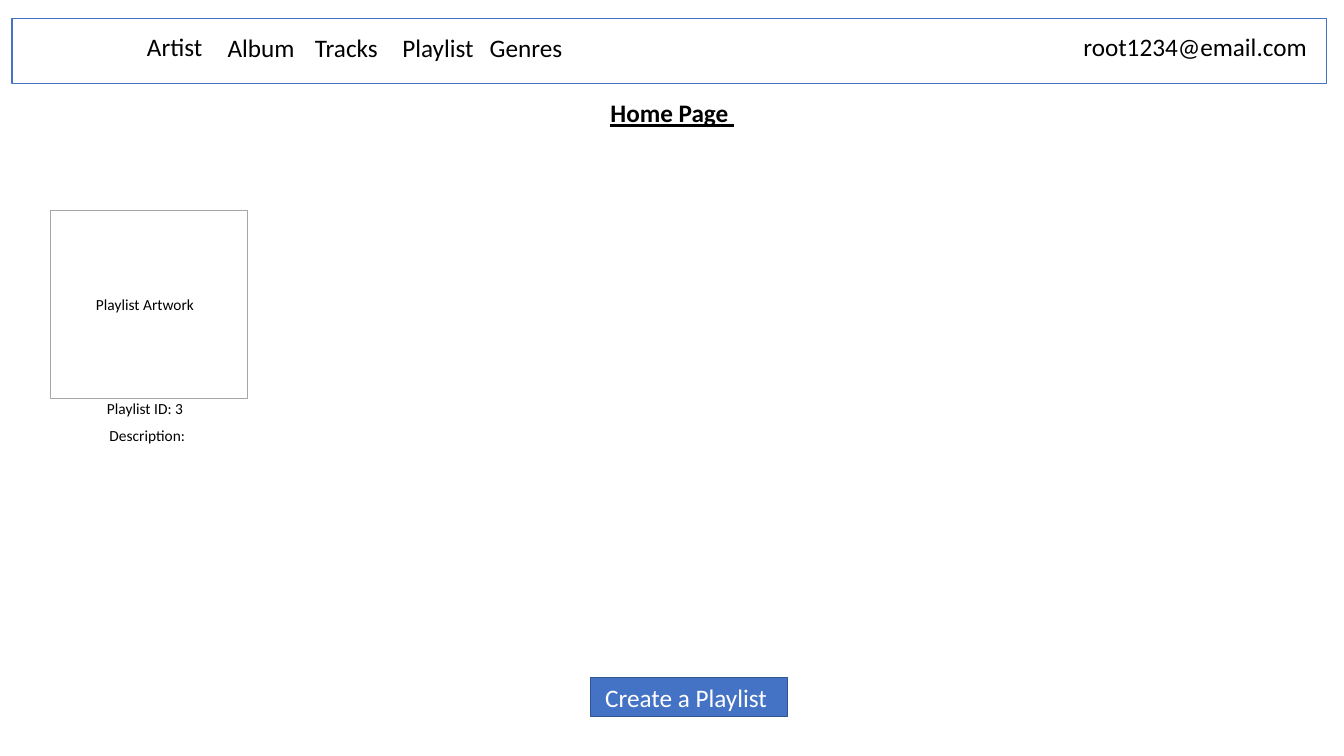
from dataclasses import dataclass
from typing import NamedTuple, Optional

from pptx import Presentation
from pptx.dml.color import RGBColor
from pptx.enum.shapes import MSO_SHAPE as Preset
from pptx.enum.text import MSO_ANCHOR as Anchor, MSO_AUTO_SIZE as AutoSize, PP_ALIGN as Align
from pptx.util import Pt


@dataclass(frozen=True)
class Theme:
    font: str = "Calibri"
    text: RGBColor = RGBColor(0, 0, 0)
    button_text: RGBColor = RGBColor(255, 255, 255)
    accent: RGBColor = RGBColor.from_string("4472C4")
    button_border: RGBColor = RGBColor.from_string("325491")
    artwork_border: RGBColor = RGBColor.from_string("A6A6A6")
    body_size: float = 18
    caption_size: float = 11


class Box(NamedTuple):
    left: float
    top: float
    width: float
    height: float

    def points(self) -> tuple:
        return tuple(Pt(value) for value in self)


@dataclass(frozen=True)
class Label:
    text: str
    box: Box
    size: float
    align: Align = Align.LEFT


@dataclass(frozen=True)
class Panel:
    box: Box
    border: RGBColor
    border_width: float = 0.75
    preset: Preset = Preset.RECTANGLE
    fill: Optional[RGBColor] = None


THEME = Theme()
LABEL_HEIGHT = 29.08
CAPTION_HEIGHT = 20.6
NAV_TOP = 19.4
NAV_LEFT = 155.5
NAV_PITCH = 62.4


def write(shape, text: str, size: float, align: Align, color: RGBColor = THEME.text,
          anchor: Anchor = Anchor.TOP) -> None:
    frame = shape.text_frame
    frame.word_wrap = True
    frame.vertical_anchor = anchor
    frame.text = text
    paragraph = frame.paragraphs[0]
    paragraph.alignment = align
    font = paragraph.font
    font.name, font.size = THEME.font, Pt(size)
    font.color.rgb = color


def draw_label(shapes, label: Label) -> None:
    text_box = shapes.add_textbox(*label.box.points())
    write(text_box, label.text, label.size, label.align)
    text_box.text_frame.auto_size = AutoSize.SHAPE_TO_FIT_TEXT


def draw_panel(shapes, panel: Panel):
    shape = shapes.add_shape(panel.preset, *panel.box.points())
    shape.shadow.inherit = False
    if panel.fill is None:
        shape.fill.background()
    else:
        shape.fill.solid()
        shape.fill.fore_color.rgb = panel.fill
    shape.line.color.rgb = panel.border
    shape.line.width = Pt(panel.border_width)
    return shape


deck = Presentation()
deck.slide_width, deck.slide_height = Pt(960), Pt(540)
slide = deck.slides.add_slide(deck.slide_layouts[5])

heading = slide.shapes.title
heading.left, heading.top, heading.width, heading.height = Box(397.4, 66.2, 165.6, LABEL_HEIGHT).points()
write(heading, "Home Page ", THEME.body_size, Align.CENTER)
heading.text_frame.auto_size = AutoSize.SHAPE_TO_FIT_TEXT
heading_font = heading.text_frame.paragraphs[0].font
heading_font.bold = heading_font.underline = True

navigation = slide.shapes.add_group_shape().shapes
draw_panel(navigation, Panel(Box(8.6, 13, 938.9, 46.8), THEME.accent))
draw_label(navigation, Label("Artist ", Box(97.9, 18.7, 55.4, LABEL_HEIGHT), THEME.body_size))
for index, section in enumerate(("Album ", "Tracks ", "Playlist ", "Genres ")):
    section_box = Box(NAV_LEFT + index * NAV_PITCH, NAV_TOP, 70.6, LABEL_HEIGHT)
    draw_label(navigation, Label(section, section_box, THEME.body_size))

draw_label(slide.shapes, Label("root1234@email.com ", Box(766.8, 18.7, 180.7, LABEL_HEIGHT), THEME.body_size))

draw_panel(slide.shapes, Panel(Box(36, 150.5, 141.1, 133.9), THEME.artwork_border))
for caption, left, top in (
    ("Playlist Artwork", 48.2, 207.4),
    ("Playlist ID: 3", 48.2, 281.5),
    ("Description: ", 51.1, 301),
):
    caption_box = Box(left, top, 110.9, CAPTION_HEIGHT)
    draw_label(slide.shapes, Label(caption, caption_box, THEME.caption_size, Align.CENTER))

create_button = draw_panel(slide.shapes, Panel(
    Box(421.9, 483.8, 140.4, 28.1), THEME.button_border, 1, Preset.FLOWCHART_PROCESS, THEME.accent))
write(create_button, "Create a Playlist ", THEME.body_size, Align.CENTER, THEME.button_text, Anchor.MIDDLE)

deck.save("out.pptx")
